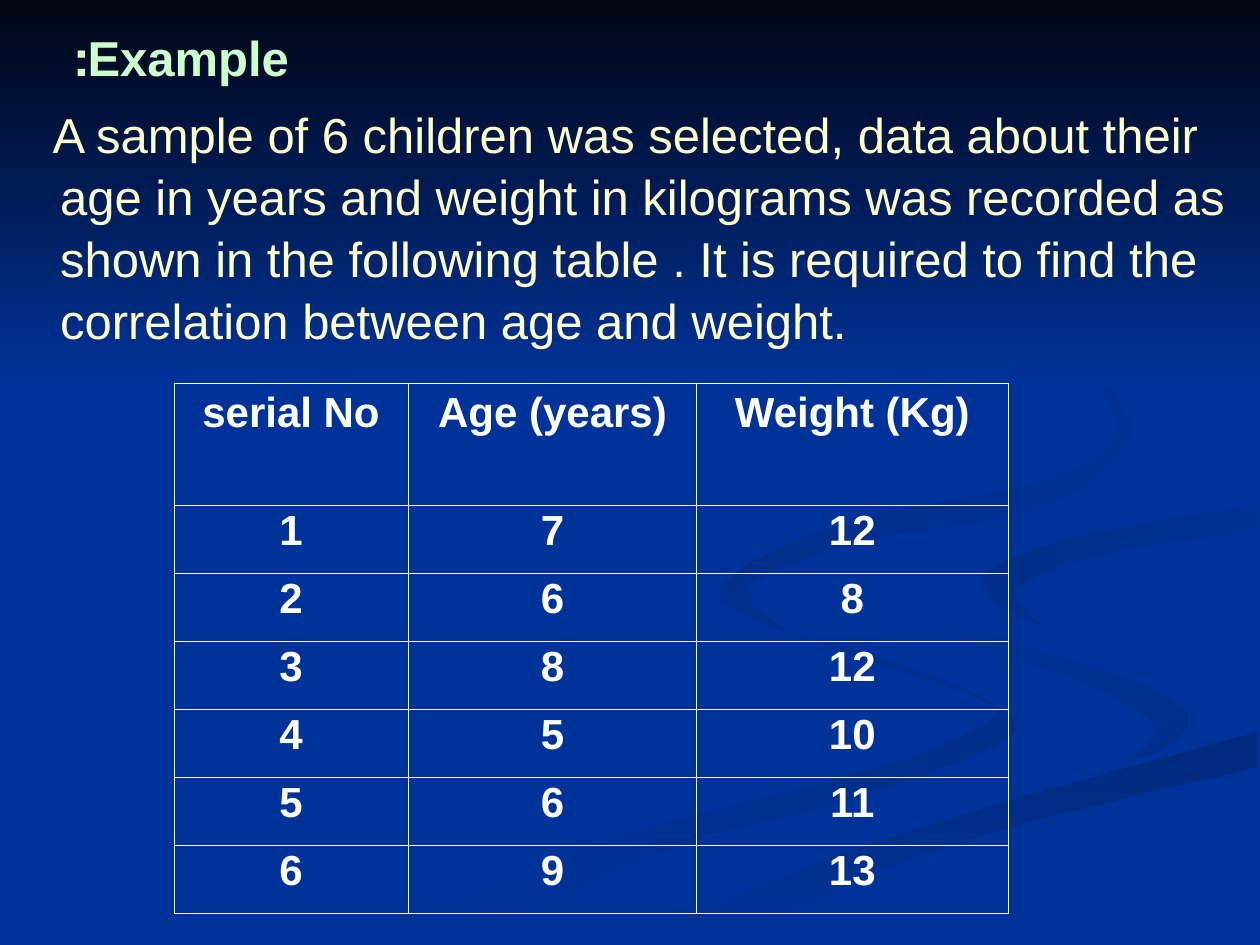
from lxml.etree import SubElement
from pptx import Presentation
from pptx.dml.color import RGBColor
from pptx.enum.shapes import MSO_SHAPE
from pptx.enum.text import MSO_ANCHOR, PP_ALIGN
from pptx.oxml.ns import qn
from pptx.util import Emu, Pt

PX = 9144  # EMU per px, 100 px to the inch
STEPS = 6  # line segments between two points of a ribbon edge
FONT = "Arial"
COLORS = {
    "blue": "003399", "night": "000514", "title": "CCFFCC", "body": "FFFFCC",
    "white": "FFFFFF", "shade_low": "002E8B", "shade_mid": "002A7D",
    "shade_right": "002D86", "shade_high": "002B82",
}

# Ribbons, back to front: first colour, last colour, clockwise angle, two edges
RIBBONS = [
    ("blue", "shade_low", 0,
     [(575, 459), (614, 496), (715, 528), (792, 561), (797, 588), (676, 634),
      (532, 674), (361, 749)],
     [(575, 459), (576, 480), (654, 513), (770, 551), (783, 574), (684, 613),
      (458, 674), (300, 749)]),
    ("blue", "shade_low", 45,
     [(724, 464), (758, 498), (870, 530), (939, 562), (932, 589), (894, 605)],
     [(724, 464), (755, 505), (854, 539), (917, 576), (894, 605)]),
    ("shade_mid", "blue", 90,
     [(503, 749), (630, 693), (764, 647), (998, 581)],
     [(571, 749), (695, 692), (821, 651), (998, 609)]),
    ("shade_right", "blue", 45,
     [(998, 402), (865, 424), (785, 453), (791, 478), (826, 496)],
     [(998, 420), (878, 439), (806, 468), (826, 496)]),
    ("shade_high", "blue", 45,
     [(762, 233), (864, 291), (893, 350), (825, 402), (683, 430), (594, 465),
      (622, 500)],
     [(762, 233), (846, 279), (888, 341), (830, 382), (676, 414), (577, 462),
      (622, 500)]),
]

ROWS = [
    ("serial No", "Age (years)", "Weight (Kg)"),
    ("1", "7", "12"), ("2", "6", "8"), ("3", "8", "12"),
    ("4", "5", "10"), ("5", "6", "11"), ("6", "9", "13"),
]


def rgb(name):
    return RGBColor.from_string(COLORS[name])


def to_emu(box):
    return [Emu(length * PX) for length in box]


def smooth(points):
    """Return a Catmull-Rom curve through the points."""
    padded = [points[0], *points, points[-1]]
    curve = []
    for knots in zip(padded, padded[1:], padded[2:], padded[3:]):
        for step in range(STEPS):
            t = step / STEPS
            curve.append(tuple(
                b + t * (c - a) / 2 + t**2 * (2*a - 5*b + 4*c - d) / 2
                + t**3 * (3*b - a - 3*c + d) / 2
                for a, b, c, d in zip(*knots)))
    return curve + [points[-1]]


def paint(shape, first, last, angle):
    """Fill a shape with a two-colour gradient, without outline."""
    shape.shadow.inherit = False
    shape.line.fill.background()
    shape.fill.gradient()
    shape.fill.gradient_angle = (360 - angle) % 360
    for stop, name in zip(shape.fill.gradient_stops, (first, last)):
        stop.color.rgb = rgb(name)


def format_text(para, size, color, bold=False):
    for span in para.runs:
        span.font.name = FONT
        span.font.size = Pt(size)
        span.font.bold = bold
        span.font.color.rgb = rgb(color)


def draw_backdrop(page, box):
    left, top, width, height = box
    page.background.fill.solid()
    page.background.fill.fore_color.rgb = rgb("blue")
    for first, last, angle, edge, other_edge in RIBBONS:
        outline = smooth(edge) + smooth(other_edge)[::-1]
        points = [(left + x, top + y) for x, y in outline]
        builder = page.shapes.build_freeform(*points[0], scale=PX)
        builder.add_line_segments(points[1:], close=True)
        paint(builder.convert_to_shape(), first, last, angle)
    # Dark band fading down from the top edge
    band = page.shapes.add_shape(
        MSO_SHAPE.RECTANGLE, *to_emu((left, top, width, 308)))
    paint(band, "night", "blue", 90)


def add_text(page, box, text, color, bold=False):
    frame = page.shapes.add_textbox(*to_emu(box)).text_frame
    frame.word_wrap = True
    frame.text = text
    para = frame.paragraphs[0]
    para.alignment = PP_ALIGN.LEFT
    format_text(para, 28, color, bold)
    return frame, para


def draw_title(page, box):
    frame, para = add_text(page, box, "Example:", "title", bold=True)
    frame.vertical_anchor = MSO_ANCHOR.MIDDLE
    para._p.get_or_add_pPr().set("rtl", "1")


def draw_body(page, box):
    text = ("A sample of 6 children was selected, data about their age in years "
            "and weight in kilograms was recorded as shown in the following "
            "table . It is required to find the correlation between age and weight.")
    para = add_text(page, box, text, "body")[1]
    para.line_spacing = 1.05
    properties = para._p.get_or_add_pPr()
    properties.set("marL", str(38 * PX))
    properties.set("indent", str(-6 * PX))


def add_borders(cell):
    properties = cell._tc.get_or_add_tcPr()
    for position, side in enumerate(("a:lnL", "a:lnR", "a:lnT", "a:lnB")):
        line = SubElement(properties, qn(side), w=str(Pt(0.45)))
        properties.insert(position, line)
        fill = SubElement(line, qn("a:solidFill"))
        SubElement(fill, qn("a:srgbClr"), val=COLORS["white"])


def draw_table(page, box):
    table = page.shapes.add_table(len(ROWS), len(ROWS[0]), *to_emu(box)).table
    for column, width in zip(table.columns, (186, 229, 247)):
        column.width = Emu(width * PX)
    for number, values in enumerate(ROWS):
        table.rows[number].height = Emu((54 if number else 97) * PX)
        for cell, value in zip(table.rows[number].cells, values):
            cell.text = value
            cell.margin_top = Emu((2 if number else 5) * PX)
            cell.fill.background()
            add_borders(cell)
            para = cell.text_frame.paragraphs[0]
            para.alignment = PP_ALIGN.CENTER
            format_text(para, 24, "white", bold=True)


def main():
    deck = Presentation()
    deck.slide_width, deck.slide_height = to_emu((1000, 750))
    page = deck.slides.add_slide(deck.slide_layouts[6])
    draw_backdrop(page, (0, 0, 1000, 750))
    draw_title(page, (50, 30, 900, 30))
    draw_body(page, (0, 76, 1000, 197))
    draw_table(page, (138, 304, 662, 421))
    deck.save("out.pptx")


if __name__ == "__main__":
    main()
